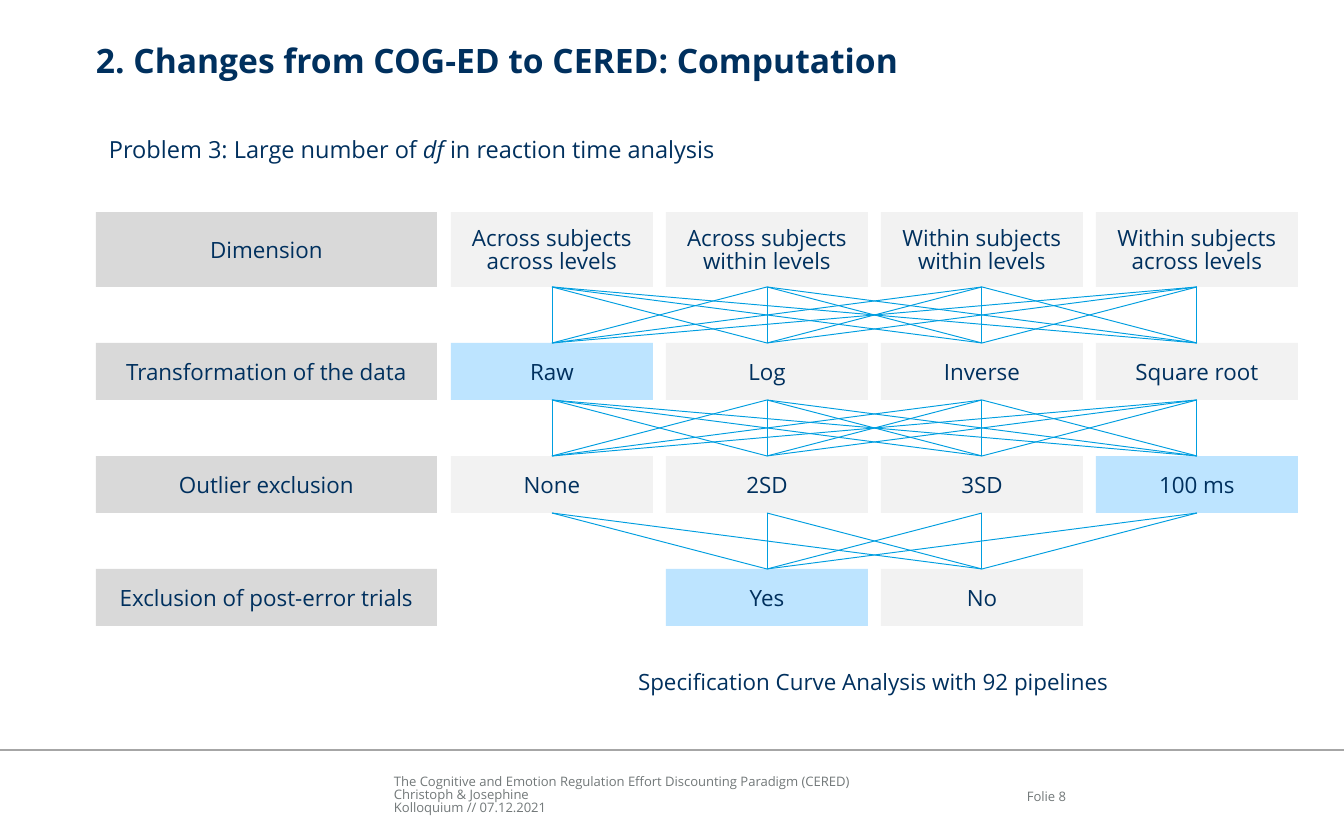
"""Build the slide on the analysis pipelines of the CERED paradigm."""
from itertools import pairwise, product

from pptx import Presentation
from pptx.dml.color import RGBColor
from pptx.enum import shapes, text
from pptx.oxml.ns import qn
from pptx.util import Pt
from lxml import etree

PX = 914400 / 134.4
COLORS = {
    "navy": "00305E", "footer": "727879", "rule": "A6A6A6", "link": "009EE0",
    "label": "D9D9D9", "option": "F2F2F2", "chosen": "BDE4FF", "white": "FFFFFF",
}
LEFT, LABEL_WIDTH = 96, 341
OPTION_LEFT, OPTION_WIDTH, OPTION_STEP = 451, 202, 215

deck = Presentation()
deck.slide_width, deck.slide_height = round(1344 * PX), round(840 * PX)
page = deck.slides.add_slide(deck.slide_layouts[6])


def add_box(words, left, top, width, height, size=12, color="navy", fill=None,
            align=text.PP_ALIGN.CENTER, anchor=text.MSO_ANCHOR.MIDDLE):
    place = [round(length * PX) for length in (left, top, width, height)]
    if fill:
        box = page.shapes.add_shape(shapes.MSO_SHAPE.RECTANGLE, *place)
        box.shadow.inherit = False
        box.fill.solid()
        box.fill.fore_color.rgb = RGBColor.from_string(COLORS[fill])
        box.line.fill.background()
    else:
        box = page.shapes.add_textbox(*place)
    frame = box.text_frame
    frame.text = words
    frame.word_wrap = True
    frame.vertical_anchor = anchor
    frame.margin_left = frame.margin_right = frame.margin_top = frame.margin_bottom = 0
    for index, para in enumerate(frame.paragraphs):
        para.alignment = align
        if index:
            para.line_spacing = 0.86
        for span in para.runs:
            span.font.name = "Open Sans"
            span.font.size = Pt(size)
            span.font.color.rgb = RGBColor.from_string(COLORS[color])
    return box


def add_line(color, weight, start=(0, 0), end=(0, 0)):
    points = [round(length * PX) for length in (*start, *end)]
    line = page.shapes.add_connector(shapes.MSO_CONNECTOR.STRAIGHT, *points)
    line.line.color.rgb = RGBColor.from_string(COLORS[color])
    line.line.width = Pt(weight)
    etree.SubElement(line._element.spPr, qn("a:effectLst"))
    return line


plain = {"align": text.PP_ALIGN.LEFT, "anchor": text.MSO_ANCHOR.TOP}
title = add_box("2. Changes from COG-ED to CERED: Computation",
                LEFT, 40, 1167, 83, size=18, **plain)
title.text_frame.paragraphs[0].runs[0].font.bold = True

problem = add_box("Problem 3: Large number of ", 109, 135, 641, 32, size=12.6, **plain)
para = problem.text_frame.paragraphs[0]
for words, italic in (("df", True), (" in reaction time analysis", False)):
    span = para.add_run()
    span.text = words
    span.font.name = "Open Sans"
    span.font.size = Pt(12.6)
    span.font.italic = italic
    span.font.color.rgb = RGBColor.from_string(COLORS["navy"])

steps = [
    ("Dimension", 212, 75, 0, None,
     ["Across subjects\nacross levels", "Across subjects\nwithin levels",
      "Within subjects\nwithin levels", "Within subjects\nacross levels"]),
    ("Transformation of the data", 343, 57, 0, "Raw", ["Raw", "Log", "Inverse", "Square root"]),
    ("Outlier exclusion", 456, 57, 0, "100 ms", ["None", "2SD", "3SD", "100 ms"]),
    ("Exclusion of post-error trials", 569, 57, 1, "Yes", ["Yes", "No"]),
]
rows = []
for label, top, height, first, chosen, options in steps:
    add_box(label, LEFT, top, LABEL_WIDTH, height, fill="label")
    rows.append([
        add_box(option, OPTION_LEFT + column * OPTION_STEP, top, OPTION_WIDTH, height,
                fill="chosen" if option == chosen else "option")
        for column, option in enumerate(options, first)
    ])

for upper, lower in pairwise(rows):
    for source, target in product(upper, lower):
        link = add_line("link", 0.5)
        link.begin_connect(source, 2)
        link.end_connect(target, 0)

add_box("Specification Curve Analysis with 92 pipelines", 592, 653, 563, 57, fill="white")

add_line("rule", 1, (0, 750), (1344, 750))
add_box("The Cognitive and Emotion Regulation Effort Discounting Paradigm (CERED)\n"
        "Christoph & Josephine\nKolloquium // 07.12.2021",
        394, 773, 573, 47, size=7, color="footer", **plain)
add_box("Folie 8", 987, 788, 79, 18, size=7, color="footer",
        align=text.PP_ALIGN.RIGHT, anchor=text.MSO_ANCHOR.TOP)

deck.save("out.pptx")
